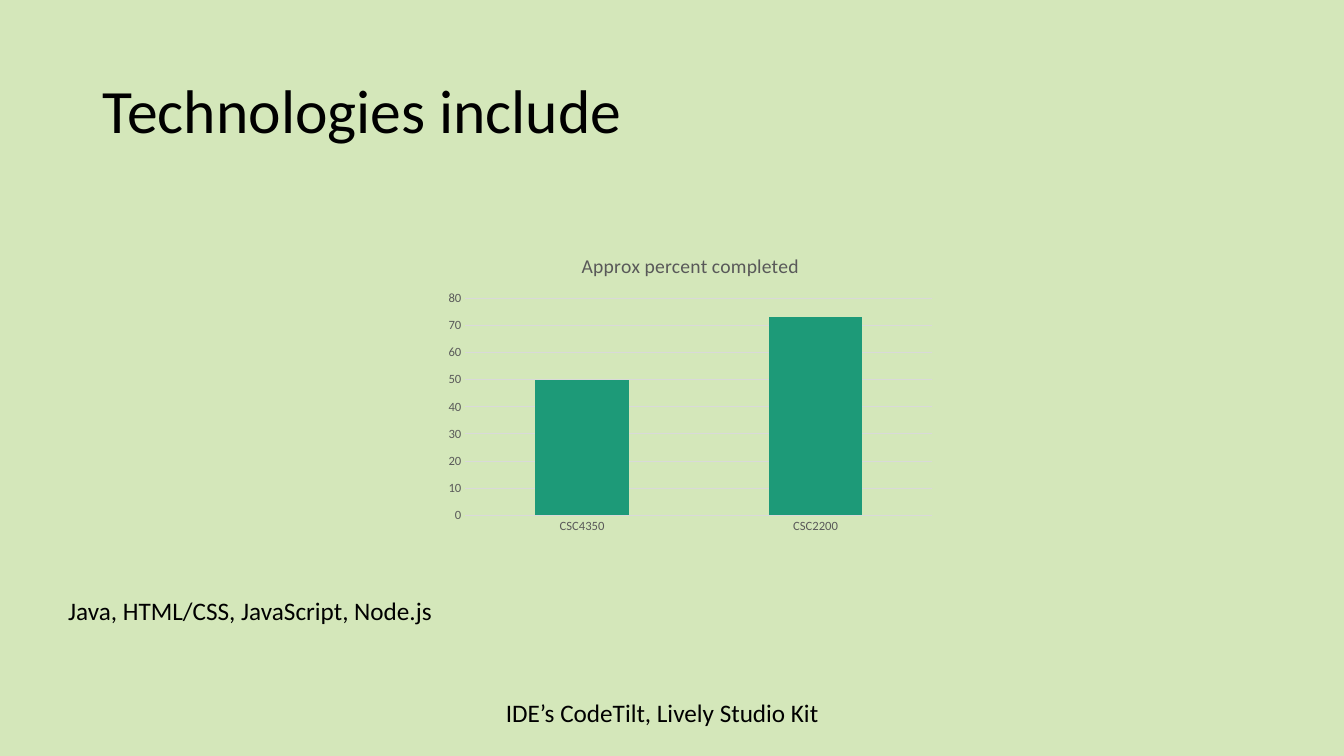
from pptx import Presentation
from pptx import util as u
from pptx.chart.data import CategoryChartData
from pptx.dml.color import RGBColor
from pptx.enum import chart as charts, text

FONT = "Calibri"
COLOURS = {
    "background": "D4E7BA",
    "ink": "000000",
    "label": "595959",
    "grid": "D9D9D9",
    "bar": "1D9A78",
}


def colour(name):
    """Return the named colour of the palette."""
    return RGBColor.from_string(COLOURS[name])


def style_font(font, size, ink="ink"):
    """Set typeface, size and colour of a font."""
    font.name = FONT
    font.size = u.Pt(size)
    font.bold = False
    font.color.rgb = colour(ink)


def style_line(line, ink):
    """Give a chart line its colour and width."""
    line.color.rgb = colour(ink)
    line.width = u.Pt(0.75)


def add_text(page, words, *, left, top, width, height, size=18, wrap=False,
             fit=text.MSO_AUTO_SIZE.SHAPE_TO_FIT_TEXT,
             anchor=text.MSO_ANCHOR.TOP, spacing=1.0):
    """Add a text box with one line of text."""
    box = page.shapes.add_textbox(u.Cm(left), u.Cm(top), u.Cm(width), u.Cm(height))
    frame = box.text_frame
    frame.word_wrap = wrap
    frame.auto_size = fit
    frame.vertical_anchor = anchor
    para = frame.paragraphs[0]
    para.line_spacing = spacing
    span = para.add_run()
    span.text = words
    style_font(span.font, size)


def style_axis(axis):
    """Remove tick marks and set the label font."""
    axis.major_tick_mark = charts.XL_TICK_MARK.NONE
    axis.minor_tick_mark = charts.XL_TICK_MARK.NONE
    style_font(axis.tick_labels.font, 9, "label")


def add_progress_chart(page, title, progress, *, left, top, width, height):
    """Add a column chart of completion by course."""
    data = CategoryChartData()
    data.categories = list(progress)
    data.add_series("Series 1", list(progress.values()))
    chart = page.shapes.add_chart(
        charts.XL_CHART_TYPE.COLUMN_STACKED,
        u.Cm(left), u.Cm(top), u.Cm(width), u.Cm(height), data).chart
    style_font(chart.font, 10)
    chart.has_legend = False
    chart.has_title = True
    span = chart.chart_title.text_frame.paragraphs[0].add_run()
    span.text = title
    style_font(span.font, 14, "label")
    chart.chart_title.include_in_layout = False

    style_axis(chart.category_axis)
    style_line(chart.category_axis.format.line, "grid")
    values = chart.value_axis
    style_axis(values)
    values.minimum_scale, values.maximum_scale, values.major_unit = 0, 80, 10
    values.format.line.fill.background()
    values.has_major_gridlines = True
    style_line(values.major_gridlines.format.line, "grid")

    plot = chart.plots[0]
    plot.vary_by_categories = False
    plot.gap_width = 150
    plot.overlap = 100
    bars = plot.series[0].format.fill
    bars.solid()
    bars.fore_color.rgb = colour("bar")


def main():
    """Build and save the technologies slide."""
    deck = Presentation()
    deck.slide_width, deck.slide_height = u.Cm(33.87), u.Cm(19.05)
    page = deck.slides.add_slide(deck.slide_layouts[6])
    fill = page.background.fill
    fill.solid()
    fill.fore_color.rgb = colour("background")

    add_text(page, "Technologies include", left=2.34, top=1.02, width=29.21,
             height=3.68, size=44, wrap=True, fit=text.MSO_AUTO_SIZE.NONE,
             anchor=text.MSO_ANCHOR.MIDDLE, spacing=0.9)
    add_progress_chart(page, "Approx percent completed",
                       {"CSC4350": 50, "CSC2200": 73},
                       left=11.05, top=5.99, width=12.7, height=7.62)
    add_text(page, "Java, HTML/CSS, JavaScript, Node.js",
             left=1.47, top=14.88, width=9.78, height=1.02)
    add_text(page, "IDE’s CodeTilt, Lively Studio Kit",
             left=12.5, top=17.45, width=8.71, height=1.02)
    deck.save("out.pptx")


if __name__ == "__main__":
    main()
